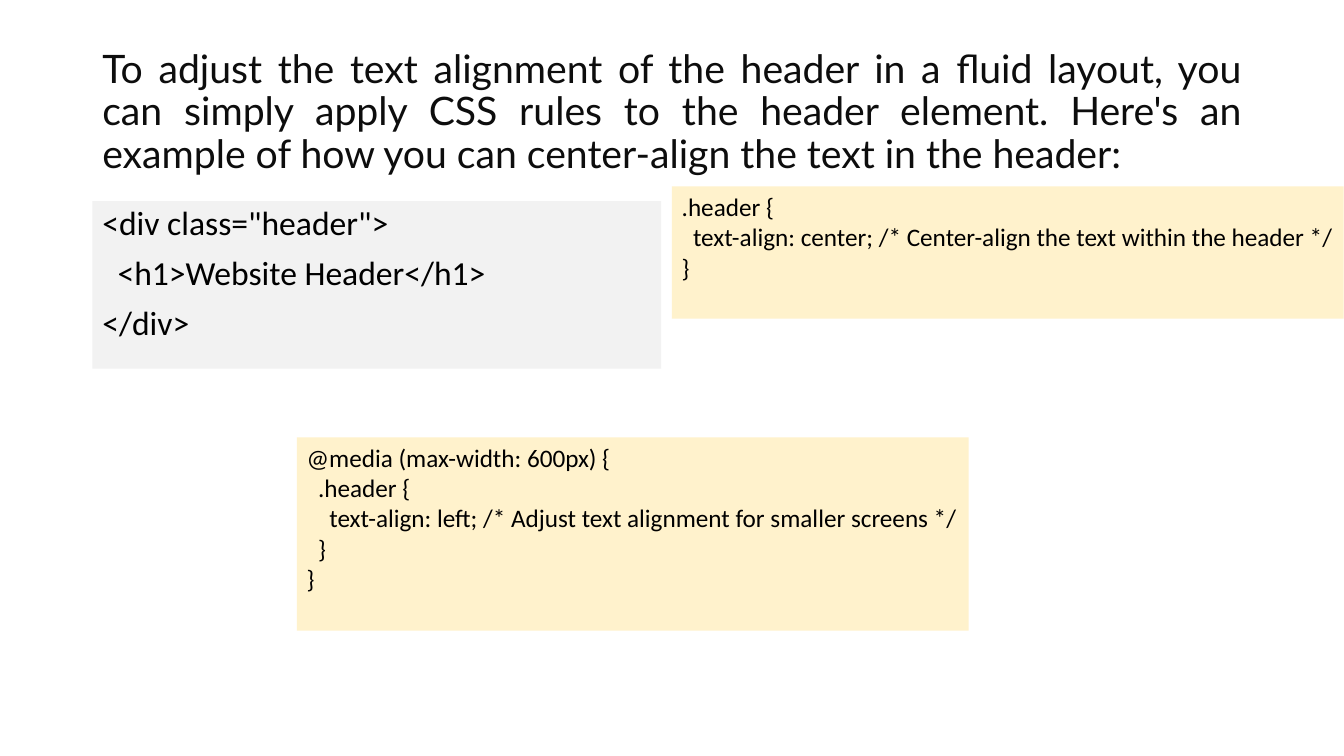
import pptx
import pptx.dml.color
import pptx.enum.text
import pptx.util
from pptx.util import Cm

COLOURS = {
    "heading": "0D0D0D",
    "code": "000000",
    "markup_fill": "F2F2F2",
    "style_fill": "FFF2CC",
}

HEADING = (
    "To adjust the text alignment of the header in a fluid layout, you can "
    "simply apply CSS rules to the header element. Here's an example of how "
    "you can center-align the text in the header:"
)
MARKUP = """<div class="header">
  <h1>Website Header</h1>
</div>"""
CENTER_RULE = """.header {
  text-align: center; /* Center-align the text within the header */
}"""
SMALL_SCREEN_RULE = """@media (max-width: 600px) {
  .header {
    text-align: left; /* Adjust text alignment for smaller screens */
  }
}"""


def colour(name):
    return pptx.dml.color.RGBColor.from_string(COLOURS[name])


def add_text(page, place, text, font_name, size, colour_name):
    box = page.shapes.add_textbox(*(Cm(length) for length in place))
    box.text_frame.word_wrap = True
    box.text_frame.text = text
    for para in box.text_frame.paragraphs:
        for span in para.runs:
            span.font.name = font_name
            span.font.size = pptx.util.Pt(size)
            span.font.color.rgb = colour(colour_name)
    return box


def add_heading(page, place, text):
    box = add_text(page, place, text, "Lato", 28, "heading")
    box.text_frame.vertical_anchor = pptx.enum.text.MSO_ANCHOR.MIDDLE
    para = box.text_frame.paragraphs[0]
    para.alignment = pptx.enum.text.PP_ALIGN.JUSTIFY
    para.line_spacing = 0.9


def add_code(page, place, text, size, fill, line_spacing=1.0, gap=0):
    """Add a filled code panel; gap is the space in points between lines."""
    box = add_text(page, place, text, "Calibri", size, "code")
    box.fill.solid()
    box.fill.fore_color.rgb = colour(fill)
    box.text_frame.margin_right = 0
    for index, para in enumerate(box.text_frame.paragraphs):
        para.line_spacing = line_spacing
        if index and gap:
            para.space_before = pptx.util.Pt(gap)


def main():
    deck = pptx.Presentation()
    deck.slide_width = Cm(33.87)
    deck.slide_height = Cm(19.05)
    page = deck.slides.add_slide(deck.slide_layouts[6])

    add_heading(page, (2.33, 1.01, 29.21, 3.68), HEADING)
    add_code(page, (2.33, 5.07, 14.33, 4.22), MARKUP, 24, "markup_fill",
             line_spacing=0.9, gap=10)
    add_code(page, (16.93, 4.7, 16.93, 3.33), CENTER_RULE, 18, "style_fill")
    add_code(page, (7.48, 11.02, 16.93, 4.87), SMALL_SCREEN_RULE, 18,
             "style_fill")

    deck.save("out.pptx")


if __name__ == "__main__":
    main()
